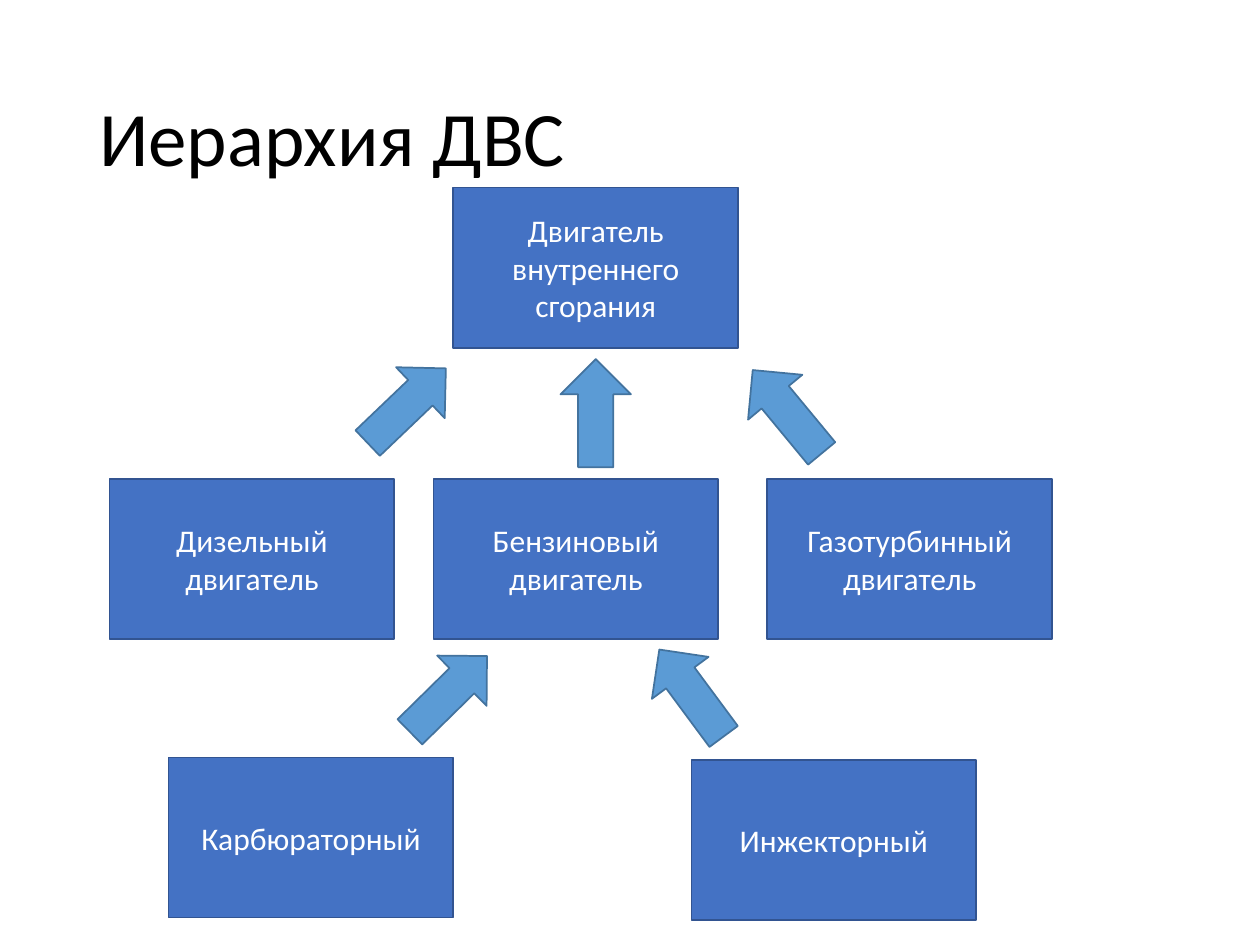
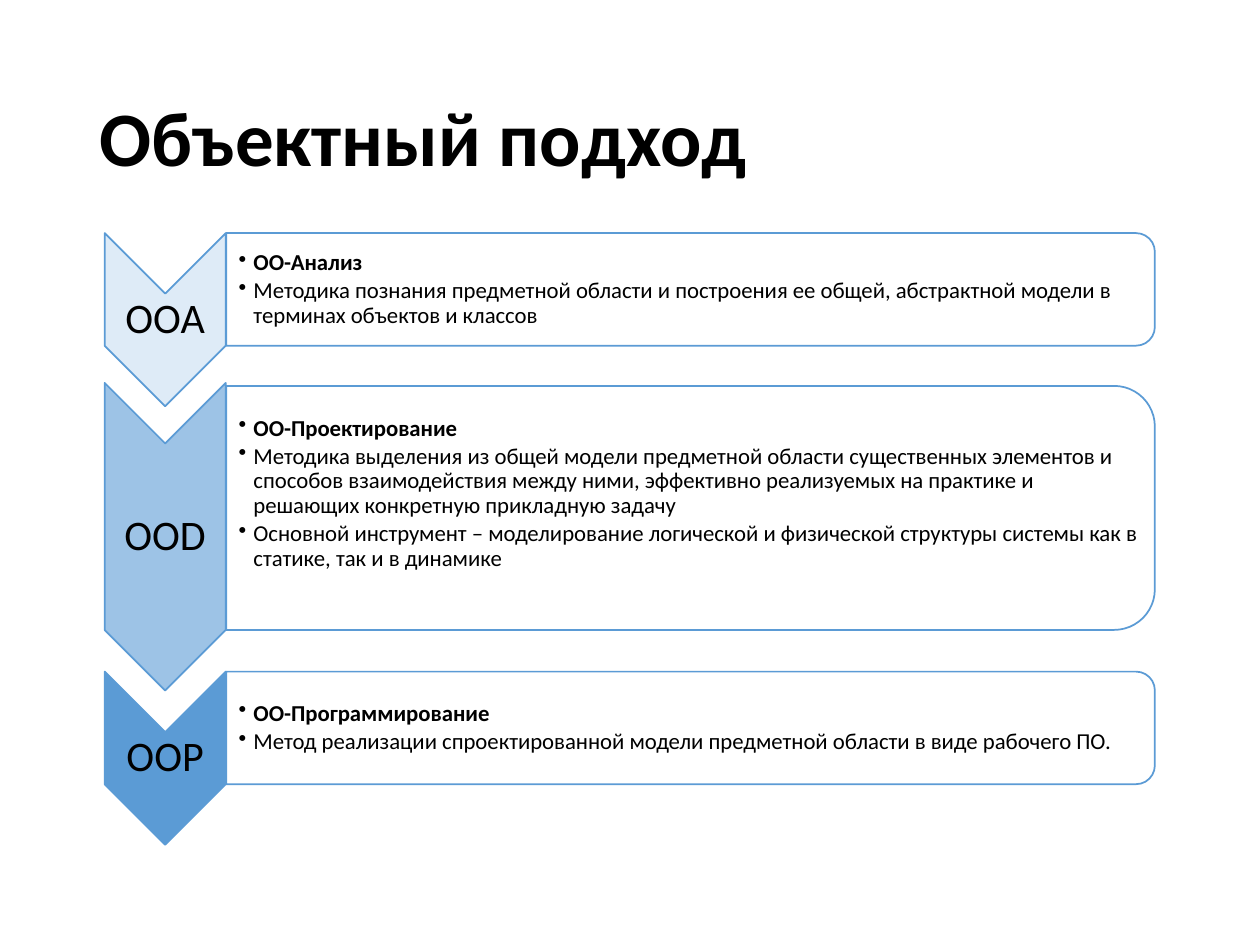
from lxml import etree
from pptx import Presentation
from pptx.dml.color import RGBColor
from pptx.enum.shapes import MSO_SHAPE
from pptx.enum.text import MSO_ANCHOR, PP_ALIGN
from pptx.oxml.ns import qn
from pptx.util import Cm, Pt

RECT, ARROW = MSO_SHAPE.RECTANGLE, MSO_SHAPE.UP_ARROW
CHEVRON, ROUNDED = MSO_SHAPE.CHEVRON, MSO_SHAPE.ROUND_2_SAME_RECTANGLE
MIDDLE = MSO_ANCHOR.MIDDLE
LEFT, CENTER = PP_ALIGN.LEFT, PP_ALIGN.CENTER

FONT = "Calibri"
BLACK, WHITE = "000000", "FFFFFF"
BOX_FILL, BOX_LINE = "4472C4", "325491"
ACCENT, ARROW_LINE = "5B9BD5", "43739E"


def add_box(s, kind, x, y, w, h, fill=None, line=None, turn=0):
    """Add a shape, or a text box if kind is None; lengths are in cm."""
    pos = Cm(x), Cm(y), Cm(w), Cm(h)
    if kind is None:
        return s.shapes.add_textbox(*pos)
    sp = s.shapes.add_shape(kind, *pos)
    sp.shadow.inherit = False
    sp.rotation = turn
    sp.fill.solid()
    sp.fill.fore_color.rgb = RGBColor.from_string(fill)
    sp.line.color.rgb = RGBColor.from_string(line)
    sp.line.width = Pt(1)
    return sp


def write(sp, *texts, size=18, color=BLACK, align=LEFT, spacing=1.0, after=0,
          bold=False, bold_first=False, bullet=False, insets=None):
    """Write one paragraph per text; insets are left, top, right, bottom in cm."""
    tf = sp.text_frame
    tf.word_wrap = True
    tf.vertical_anchor = MIDDLE
    if insets:
        (tf.margin_left, tf.margin_top,
         tf.margin_right, tf.margin_bottom) = [Cm(i) for i in insets]
    for i, text in enumerate(texts):
        p = tf.add_paragraph() if i else tf.paragraphs[0]
        p.alignment = align
        p.line_spacing = spacing
        p.space_after = Pt(after)
        if bullet:
            pPr = p._p.get_or_add_pPr()
            pPr.set("marL", str(Cm(0.3)))
            pPr.set("indent", str(-Cm(0.3)))
            etree.SubElement(pPr, qn("a:buChar")).set("char", "•")
        r = p.add_run()
        r.text = text
        r.font.name = FONT
        r.font.size = Pt(size)
        r.font.bold = bold or (bold_first and i == 0)
        r.font.color.rgb = RGBColor.from_string(color)


prs = Presentation()
prs.slide_width, prs.slide_height = Cm(25.4), Cm(19.05)

# Both slides carry the same title block
slides = []
for title, bold in [("Иерархия ДВС", False), ("Объектный подход", True)]:
    s = prs.slides.add_slide(prs.slide_layouts[6])
    write(add_box(s, None, 1.75, 1.02, 21.9, 3.68), title,
          size=44, spacing=0.9, bold=bold)
    slides.append(s)
hierarchy, approach = slides

# Engine hierarchy
engines = [
    (9.14, 3.78, ["Двигатель", "внутреннего сгорания"]),
    (2.21, 9.65, ["Дизельный двигатель"]),
    (8.74, 9.65, ["Бензиновый двигатель"]),
    (15.47, 9.65, ["Газотурбинный двигатель"]),
    (3.4, 15.27, ["Карбюраторный"]),
    (13.94, 15.32, ["Инжекторный"]),
]
for x, y, texts in engines:
    sp = add_box(hierarchy, RECT, x, y, 5.74, 3.23, BOX_FILL, BOX_LINE)
    write(sp, *texts, color=WHITE, align=CENTER)

arrows = [(7.49, 7.09, 46.3), (11.3, 7.24, 0), (15.16, 7.21, 320.4),
          (8.33, 12.9, 45.5), (13.23, 12.88, 323.5)]
for x, y, turn in arrows:
    add_box(hierarchy, ARROW, x, y, 1.42, 2.18, ACCENT, ARROW_LINE, turn)

# Stages of the object approach: a chevron pointing down and a panel beside it
CHEVRON_X, CHEVRON_W = 2.11, 2.44
POINT = CHEVRON_W / 2
PANEL_X, PANEL_W = 4.56, 18.72
stages = [
    ("OOA", "DEEBF7", 4.7, 3.49, 4.7, 0.03, [
        "ОО-Анализ",
        "Методика познания предметной области и построения ее общей, "
        "абстрактной модели в терминах объектов и классов"]),
    ("OOD", "9DC3E6", 7.72, 6.2, 7.78, 0.6, [
        "ОО-Проектирование",
        "Методика выделения из общей модели предметной области существенных "
        "элементов и способов взаимодействия между ними, эффективно "
        "реализуемых на практике и решающих конкретную прикладную задачу",
        "Основной инструмент – моделирование логической и физической "
        "структуры системы как в статике, так и в динамике"]),
    ("OOP", ACCENT, 13.54, 3.49, 13.54, 0.03, [
        "ОО-Программирование",
        "Метод реализации спроектированной модели предметной области "
        "в виде рабочего ПО."]),
]
for label, fill, top, height, panel_top, bottom_inset, texts in stages:
    panel_h = top + height - POINT - panel_top
    for kind, x, y, w, h, color in [
            (CHEVRON, CHEVRON_X, top, CHEVRON_W, height, fill),
            (ROUNDED, PANEL_X, panel_top, PANEL_W, panel_h, WHITE)]:
        # A quarter turn swaps width and height around the same centre
        add_box(approach, kind, x + (w - h) / 2, y + (h - w) / 2, h, w,
                color, ACCENT, 90)

    sp = add_box(approach, None, CHEVRON_X, top + POINT,
                 CHEVRON_W, height - 2 * POINT)
    write(sp, label, size=24, align=CENTER, spacing=0.9, insets=[0.05] * 4)

    corner = 0.05 * panel_h
    sp = add_box(approach, None, PANEL_X, panel_top + corner,
                 PANEL_W - corner, panel_h - 2 * corner)
    write(sp, *texts, size=13, spacing=0.9, after=2, bold_first=True,
          bullet=True, insets=[0.25, 0.03, 0.03, bottom_inset])

prs.save("out.pptx")
